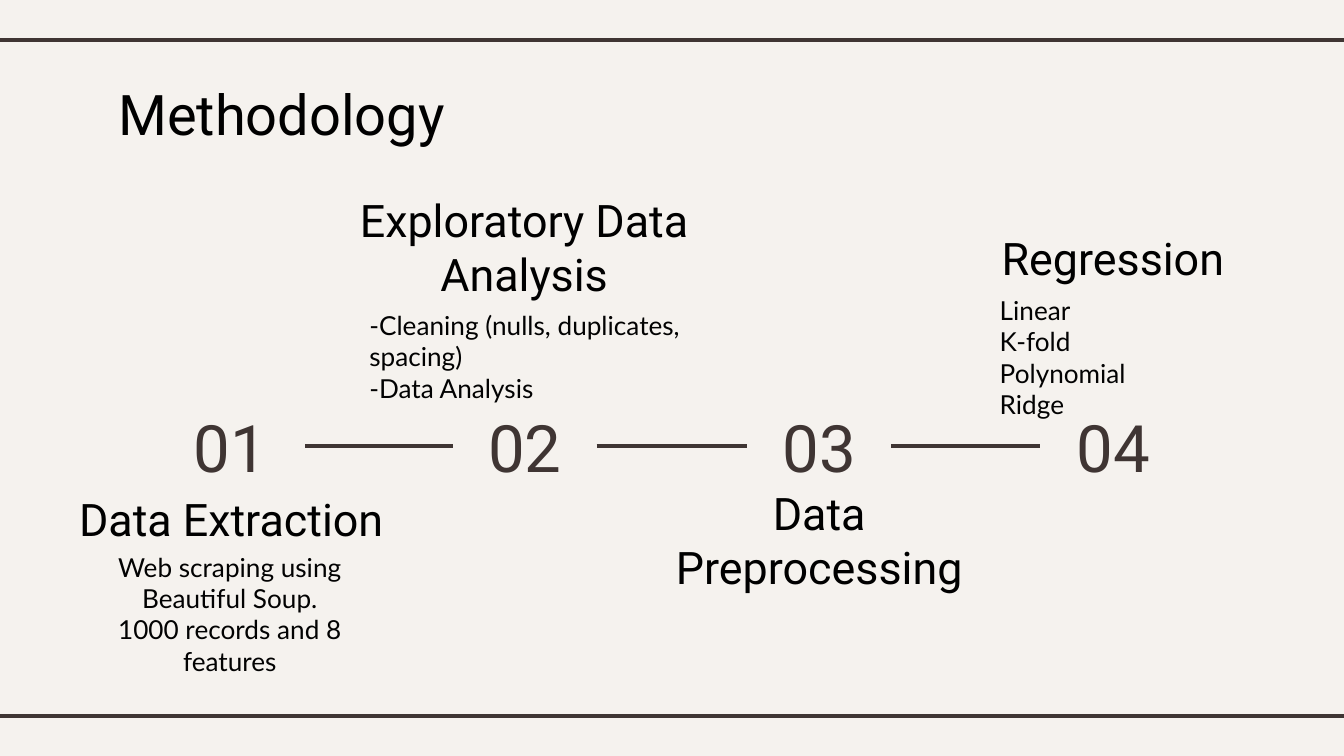
from lxml import etree
from pptx import Presentation
from pptx.dml.color import RGBColor
from pptx.enum.shapes import MSO_CONNECTOR
from pptx.enum.text import MSO_ANCHOR, MSO_AUTO_SIZE, PP_ALIGN
from pptx.oxml.ns import qn
from pptx.util import Inches, Pt

PAPER, BROWN, BLACK, NEAR_BLACK = "F5F2EE", "3F3533", "000000", "020202"
LEFT, CENTER = PP_ALIGN.LEFT, PP_ALIGN.CENTER
TOP, MIDDLE = MSO_ANCHOR.TOP, MSO_ANCHOR.MIDDLE

STYLES = {
    "title": ({"name": "Roboto", "size": Pt(30)}, BLACK, TOP),
    "heading": ({"name": "Roboto", "size": Pt(24)}, BLACK, MIDDLE),
    "body": ({"name": "Lato", "size": Pt(14)}, NEAR_BLACK, TOP),
    "number": ({"name": "Roboto", "size": Pt(35)}, BROWN, MIDDLE),
}

HEADINGS = [
    ("Data Extraction", (0.42, 3.66, 2.6, 0.39)),
    ("Exploratory Data Analysis", (2.45, 1.64, 2.9, 0.39)),
    ("Data Preprocessing", (4.87, 3.82, 2.45, 0.39)),
    ("Regression", (7.34, 1.72, 1.88, 0.39)),
]
DETAILS = [
    (["Web scraping using Beautiful Soup. 1000 records and 8 features"],
     (0.77, 4, 1.88, 1.12), CENTER),
    (["-Cleaning (nulls, duplicates, spacing)", "-Data Analysis"],
     (2.65, 2.2, 2.9, 0.95), LEFT),
    (["Linear", "K-fold", "Polynomial", "Ridge"],
     (7.34, 2.09, 1.88, 0.63), LEFT),
]
NUMBERS = [(1.16, 1.11), (3.37, 1.07), (5.56, 1.07), (7.74, 1.09)]


def color(hex_code):
    """Turn a hex string into a colour."""
    return RGBColor.from_string(hex_code)


def apply(target, values):
    """Set every attribute in a dict of format values."""
    for attribute, value in values.items():
        setattr(target, attribute, value)


def write(holder, lines, style, align):
    """Fill a text holder with styled paragraphs."""
    font_values, hex_code, anchor = STYLES[style]
    frame = holder.text_frame
    frame.text = "\n".join(lines)
    margins = dict.fromkeys(
        ("margin_left", "margin_top", "margin_right", "margin_bottom"), Inches(0.1))
    apply(frame, {"word_wrap": True, "auto_size": MSO_AUTO_SIZE.NONE,
                  "vertical_anchor": anchor, **margins})
    for paragraph in frame.paragraphs:
        paragraph.alignment = align
        for run in paragraph.runs:
            apply(run.font, font_values)
            run.font.color.rgb = color(hex_code)


def add_text(slide, lines, box, style, align=CENTER):
    """Add a text box at the given place in inches."""
    label = slide.shapes.add_textbox(*map(Inches, box))
    write(label, lines, style, align)
    return label


def add_rule(slide, start=(0, 0), end=(0, 0)):
    """Add a straight brown line without shadow."""
    rule = slide.shapes.add_connector(
        MSO_CONNECTOR.STRAIGHT, *map(Inches, (*start, *end)))
    rule.line.color.rgb = color(BROWN)
    rule.line.width = Pt(2.25)
    etree.SubElement(rule._element.spPr, qn("a:effectLst"))
    return rule


def set_title(slide, wording, box):
    """Place and format the title placeholder."""
    title = slide.shapes.title
    apply(title, dict(zip(("left", "top", "width", "height"), map(Inches, box))))
    write(title, [wording], "title", LEFT)


def add_timeline(slide):
    """Add the step numbers and join each to the next."""
    steps = [add_text(slide, [f"{index:02}"], (left, 2.95, width, 0.74), "number")
             for index, (left, width) in enumerate(NUMBERS, 1)]
    for step, following in zip(steps, steps[1:]):
        link = add_rule(slide)
        link.begin_connect(step, 3)
        link.end_connect(following, 1)


def main():
    """Build and save the methodology slide."""
    deck = Presentation()
    apply(deck, {"slide_width": Inches(10), "slide_height": Inches(10) * 9 // 16})
    slide = deck.slides.add_slide(deck.slide_layouts[5])
    slide.background.fill.solid()
    slide.background.fill.fore_color.rgb = color(PAPER)
    for height in (0.3, 5.33):
        add_rule(slide, (-0.08, height), (10.08, height))
    set_title(slide, "Methodology", (0.78, 0.49, 8.44, 0.63))
    for lines, box, align in DETAILS:
        add_text(slide, lines, box, "body", align)
    add_timeline(slide)
    for heading, box in HEADINGS:
        add_text(slide, [heading], box, "heading")
    deck.save("out.pptx")


if __name__ == "__main__":
    main()
